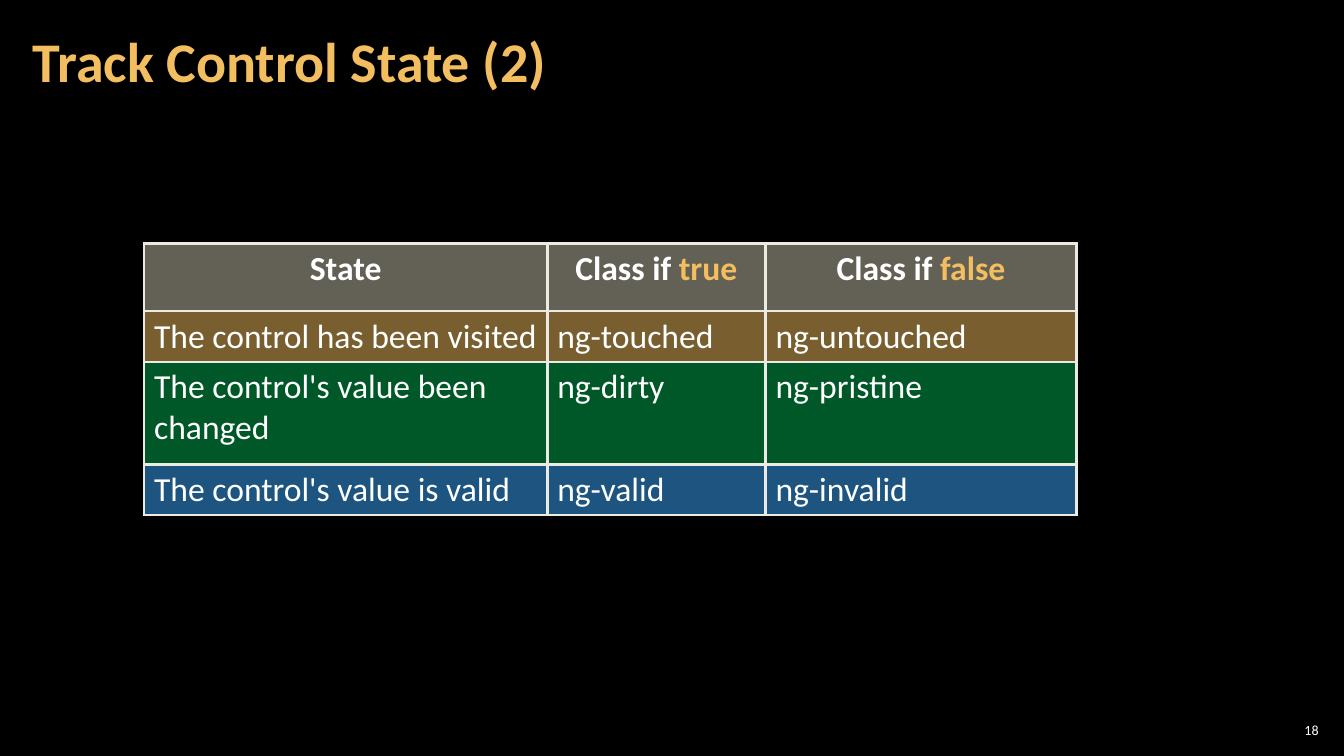
from dataclasses import dataclass

from lxml import etree
from pptx import Presentation
from pptx import util as u
from pptx.dml.color import RGBColor
from pptx.enum import text
from pptx.oxml import ns


@dataclass(frozen=True)
class Theme:
    font: str = "Calibri"
    background: str = "000000"
    body: str = "FFFFFF"
    accent: str = "F3BE60"
    border: str = "ECEAE3"
    row_fills: tuple = ("C6C0AA", "F3BE60", "00B050", "3BABFF")
    fill_alpha: int = 50
    border_width: float = 2.25
    title_size: int = 40
    table_size: int = 24
    number_size: int = 10


class SlideBuilder:
    def __init__(self, page, theme):
        self.page = page
        self.theme = theme
        page.background.fill.solid()
        page.background.fill.fore_color.rgb = RGBColor.from_string(theme.background)

    def style(self, para, size, color, bold=False, align=text.PP_ALIGN.LEFT):
        para.alignment = align
        para.font.name = self.theme.font
        para.font.size = u.Pt(size)
        para.font.bold = bold
        para.font.color.rgb = RGBColor.from_string(color)

    def text_box(self, words, bounds, side_margin, size, color, **options):
        box = self.page.shapes.add_textbox(*map(u.Cm, bounds))
        frame = box.text_frame
        frame.word_wrap = True
        frame.vertical_anchor = text.MSO_ANCHOR.MIDDLE
        frame.margin_left = frame.margin_right = u.Cm(side_margin)
        frame.margin_top = frame.margin_bottom = u.Cm(0.1)
        para = frame.paragraphs[0]
        para.text = words
        self.style(para, size, color, **options)
        return para

    def paint_cell(self, cell, color):
        properties = cell._tc.get_or_add_tcPr()
        for side in ("lnL", "lnR", "lnT", "lnB"):
            line = etree.SubElement(properties, ns.qn(f"a:{side}"))
            line.set("w", str(u.Pt(self.theme.border_width)))
            solid = etree.SubElement(line, ns.qn("a:solidFill"))
            etree.SubElement(solid, ns.qn("a:srgbClr"), val=self.theme.border)
        cell.fill.solid()
        cell.fill.fore_color.rgb = RGBColor.from_string(color)
        shade = properties.find(ns.qn("a:solidFill"))[0]
        etree.SubElement(shade, ns.qn("a:alpha"), val=str(self.theme.fill_alpha * 1000))

    def table(self, rows, left, top, widths, heights):
        bounds = (left, top, sum(widths), sum(heights))
        grid = self.page.shapes.add_table(len(rows), len(widths), *map(u.Cm, bounds)).table
        for column, width in zip(grid.columns, widths):
            column.width = u.Cm(width)
        for row, height in zip(grid.rows, heights):
            row.height = u.Cm(height)
        for r, (row, fill) in enumerate(zip(rows, self.theme.row_fills)):
            align = text.PP_ALIGN.LEFT if r else text.PP_ALIGN.CENTER
            for c, (words, highlight) in enumerate(row):
                cell = grid.cell(r, c)
                self.paint_cell(cell, fill)
                para = cell.text_frame.paragraphs[0]
                self.style(para, self.theme.table_size, self.theme.body, r == 0, align)
                para.add_run().text = words
                if highlight:
                    span = para.add_run()
                    span.text = highlight
                    span.font.color.rgb = RGBColor.from_string(self.theme.accent)


HEADER = [("State", ""), ("Class if ", "true"), ("Class if ", "false")]
STATES = [
    ("The control has been visited", "ng-touched", "ng-untouched"),
    ("The control's value been changed", "ng-dirty", "ng-pristine"),
    ("The control's value is valid", "ng-valid", "ng-invalid"),
]


def main():
    deck = Presentation()
    deck.slide_width, deck.slide_height = u.Cm(33.87), u.Cm(19.05)
    theme = Theme()
    builder = SlideBuilder(deck.slides.add_slide(deck.slide_layouts[6]), theme)
    title = builder.text_box("Track Control State (2)", (0.53, 0.1, 26.6, 3.07), 0.3,
                             theme.title_size, theme.accent, bold=True)
    title.line_spacing = 0.9
    rows = [HEADER] + [[(words, "") for words in state] for state in STATES]
    builder.table(rows, 3.63, 6.14, (10.16, 5.5, 7.84), (1.7, 1.28, 2.58, 1.28))
    builder.text_box("18", (32.13, 18.14, 1.2, 0.53), 0.1,
                     theme.number_size, theme.body, align=text.PP_ALIGN.RIGHT)
    deck.save("out.pptx")


if __name__ == "__main__":
    main()
